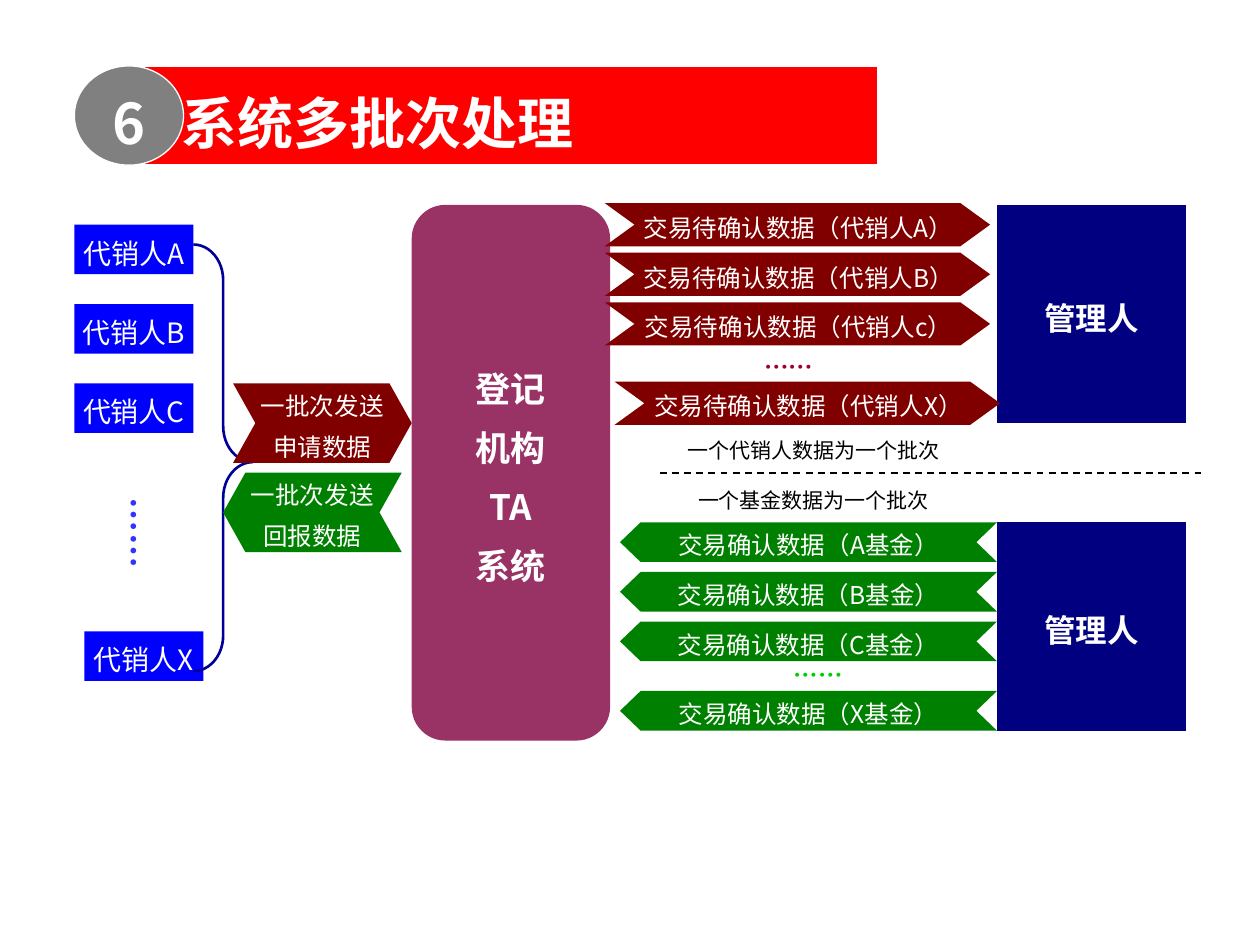
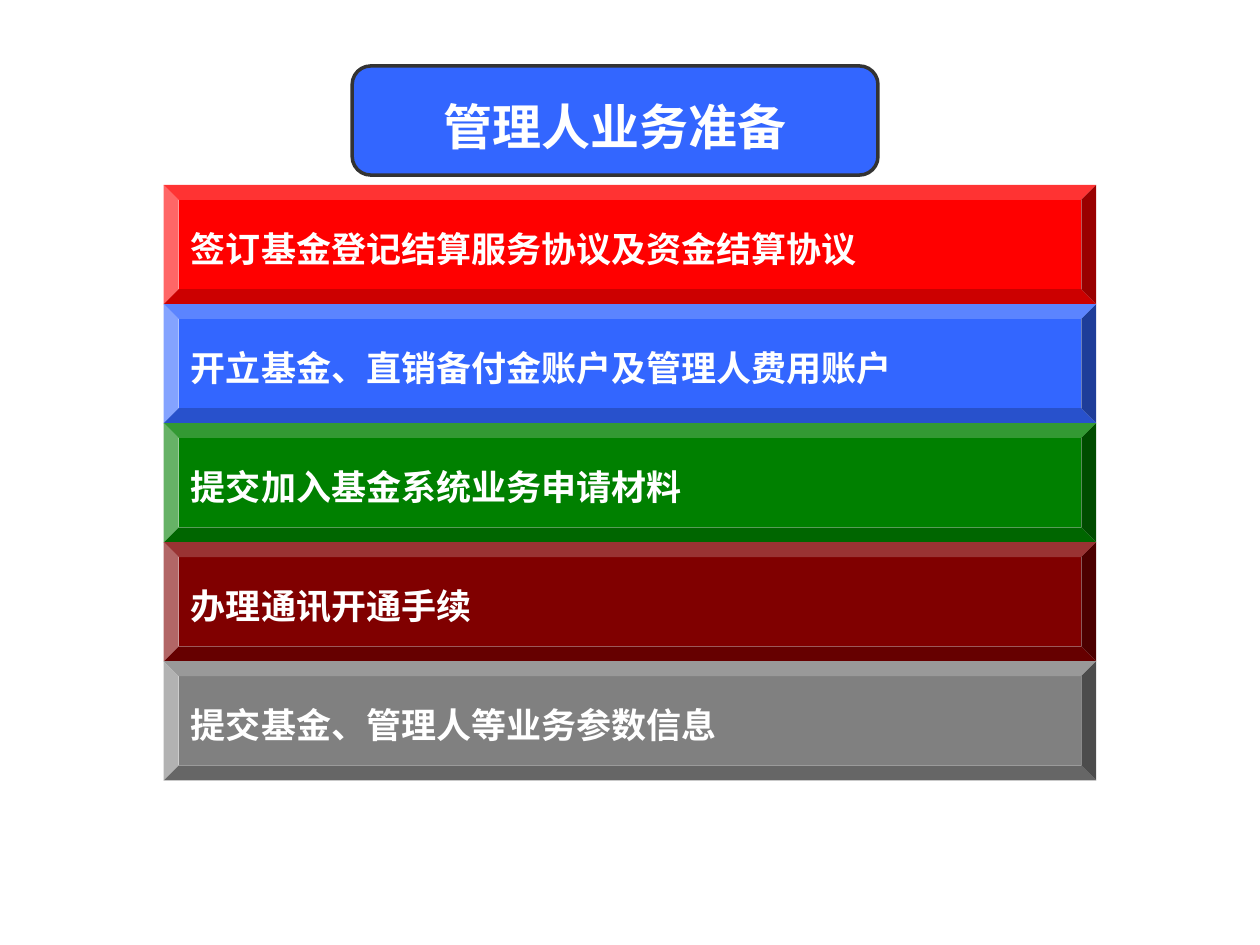
"""Builds two slides on batch processing and manager preparation."""
from dataclasses import dataclass

from lxml.etree import SubElement
from pptx import Presentation
from pptx.dml.color import RGBColor as Rgb
from pptx.enum.dml import MSO_LINE as Dash
from pptx.enum.shapes import MSO_CONNECTOR as Link, MSO_SHAPE as Kind
from pptx.enum.text import MSO_ANCHOR as Anchor, PP_ALIGN as Align
from pptx.oxml.ns import qn
from pptx.util import Cm, Pt


@dataclass(frozen=True)
class Theme:
    font: str = "Noto Sans CJK SC"
    white: str = "FFFFFF"
    black: str = "000000"
    red: str = "FF0000"
    gray: str = "808080"
    edge: str = "333333"
    blue: str = "0000FF"
    sky: str = "3366FF"
    navy: str = "000080"
    brace: str = "000099"
    plum: str = "993366"
    maroon: str = "800000"
    green: str = "008000"
    blue_dot: str = "3333FF"
    red_dot: str = "990033"
    green_dot: str = "00CC00"
    title: int = 32
    head: int = 28
    large: int = 20
    mid: int = 18
    agent: int = 16
    body: int = 14
    note: int = 12


def write(shape, text, *, theme, size, color, bold=False, left=None, vert=None):
    frame = shape.text_frame
    frame.word_wrap = left is not None
    frame.vertical_anchor = Anchor.MIDDLE
    if left is not None:
        frame.margin_left = Cm(left)
    if vert:
        frame._txBody.bodyPr.set("vert", vert)
        frame.margin_left = frame.margin_right = Cm(0.13)
        frame.margin_top = frame.margin_bottom = Cm(0.25)
    for i, line in enumerate(text.split("\n")):
        para = frame.add_paragraph() if i else frame.paragraphs[0]
        para.alignment = Align.CENTER if left is None else Align.LEFT
        para.line_spacing = 1.2
        para.space_before = para.space_after = Pt(round(size / 8, 1))
        run = para.add_run()
        run.text = line
        font = run.font
        font.size, font.bold, font.name = Pt(size), bold, theme.font
        font.color.rgb = Rgb.from_string(color)
        SubElement(run._r.rPr, qn("a:ea"), typeface=theme.font)


class Deck:
    def __init__(self, theme):
        self.theme = theme
        self.pres = Presentation()
        self.pres.slide_width, self.pres.slide_height = Cm(25.4), Cm(19.05)
        self.slide = None

    def page(self):
        self.slide = self.pres.slides.add_slide(self.pres.slide_layouts[6])

    def shape(self, kind, box, fill=None, line=None, width=1, adj=(), flip=False,
              text=None, size=None, color=None, **style):
        item = self.slide.shapes.add_shape(kind, *map(Cm, box))
        item.shadow.inherit = False
        for i, value in enumerate(adj):
            item.adjustments[i] = value
        if fill:
            item.fill.solid()
            item.fill.fore_color.rgb = Rgb.from_string(fill)
        else:
            item.fill.background()
        if line:
            item.line.color.rgb = Rgb.from_string(line)
            item.line.width = Pt(width)
            SubElement(item.line._ln, qn("a:miter"), lim="800000")
        else:
            item.line.fill.background()
        if flip:
            item._element.spPr.find(qn("a:xfrm")).set("flipH", "1")
        if text:
            write(item, text, theme=self.theme, size=size,
                  color=color or self.theme.white, **style)

    def label(self, text, box, **style):
        item = self.slide.shapes.add_textbox(*map(Cm, box))
        write(item, text, theme=self.theme, **style)

    def rule(self, x1, x2, y):
        item = self.slide.shapes.add_connector(Link.STRAIGHT, Cm(x1), Cm(y), Cm(x2), Cm(y))
        item.line.color.rgb = Rgb.from_string(self.theme.black)
        item.line.width = Pt(1)
        item.line.dash_style = Dash.DASH
        SubElement(item._element.spPr, qn("a:effectLst"))


def batch(deck):
    look = deck.theme
    deck.page()
    deck.shape(Kind.RECTANGLE, (2.9, 1.33, 14.8, 2), look.red, look.white, 1.5,
               text="系统多批次处理", size=look.title, bold=True, left=0.76)
    deck.shape(Kind.OVAL, (1.5, 1.33, 2.2, 2), look.gray, look.white, 0.75,
               text="6", size=look.title, bold=True)

    for name, x, y in zip("ABCX", (1.5, 1.5, 1.5, 1.7), (4.53, 6.13, 7.73, 12.73)):
        deck.shape(Kind.RECTANGLE, (x, y, 2.4, 1), look.blue,
                   text=f"代销人{name}", size=look.agent)
    deck.label("……", (2.29, 9.79, 1, 2.8), size=look.large, color=look.blue_dot,
               bold=True, vert="eaVert")
    deck.shape(Kind.RIGHT_BRACE, (3.9, 4.93, 1.2, 8.6), line=look.brace, width=1.5,
               adj=(0.6, 0.51))
    deck.shape(Kind.ROUNDED_RECTANGLE, (8.3, 4.13, 4, 10.8), look.plum, adj=(0.17,),
               text="登记\n机构\nTA\n系统", size=look.large, bold=True)
    for text, x, y, fill, flip in (("一批次发送\n申请数据", 4.7, 7.73, look.maroon, False),
                                   ("一批次发送\n回报数据", 4.5, 9.53, look.green, True)):
        deck.shape(Kind.CHEVRON, (x, y, 3.6, 1.6), fill, adj=(0.28,), flip=flip,
                   text=text, size=look.body)

    for y, high in ((4.13, 4.4), (10.53, 4.2)):
        deck.shape(Kind.FLOWCHART_PROCESS, (20.1, y, 3.8, high), look.navy,
                   text="管理人", size=look.mid, bold=True)
    deck.rule(13.3, 24.3, 9.53)

    for name, x, y in zip("ABcX", (12.3, 12.3, 12.3, 12.5), (4.13, 5.13, 6.13, 7.73)):
        deck.shape(Kind.CHEVRON, (x, y, 7.6, 0.8), look.maroon, look.maroon, 2,
                   adj=(0.69,), text=f"交易待确认数据（代销人{name}）", size=look.body)
    for name, y in zip("ABCX", (10.53, 11.53, 12.53, 13.93)):
        deck.shape(Kind.CHEVRON, (12.5, y, 7.6, 0.8), look.green, adj=(0.52,),
                   flip=True, text=f"交易确认数据（{name}基金）", size=look.body)
    for x, y, color in ((13.3, 6.93, look.red_dot), (13.9, 13.13, look.green_dot)):
        deck.label("……", (x, y, 5.2, 0.82), size=look.body, color=color, bold=True)
    for text, y in (("一个代销人数据为一个批次", 8.53), ("一个基金数据为一个批次", 9.53)):
        deck.label(text, (13.1, y, 6.6, 1), size=look.note, color=look.black)


def prepare(deck):
    look = deck.theme
    deck.page()
    deck.shape(Kind.ROUNDED_RECTANGLE, (7.1, 1.33, 10.6, 2.2), look.sky, look.edge, 2,
               adj=(0.17,), text="管理人业务准备", size=look.head, bold=True)
    steps = (("签订基金登记结算服务协议及资金结算协议", look.red),
             ("开立基金、直销备付金账户及管理人费用账户", look.sky),
             ("提交加入基金系统业务申请材料", look.green),
             ("办理通讯开通手续", look.maroon),
             ("提交基金、管理人等业务参数信息", look.gray))
    high = 2.4
    for i, (text, fill) in enumerate(steps):
        deck.shape(Kind.BEVEL, (3.3, 3.73 + i * high, 18.8, high), fill, adj=(0.125,),
                   text=text, size=look.large, bold=True, left=0.25)


def main():
    deck = Deck(Theme())
    batch(deck)
    prepare(deck)
    deck.pres.save("out.pptx")


if __name__ == "__main__":
    main()
